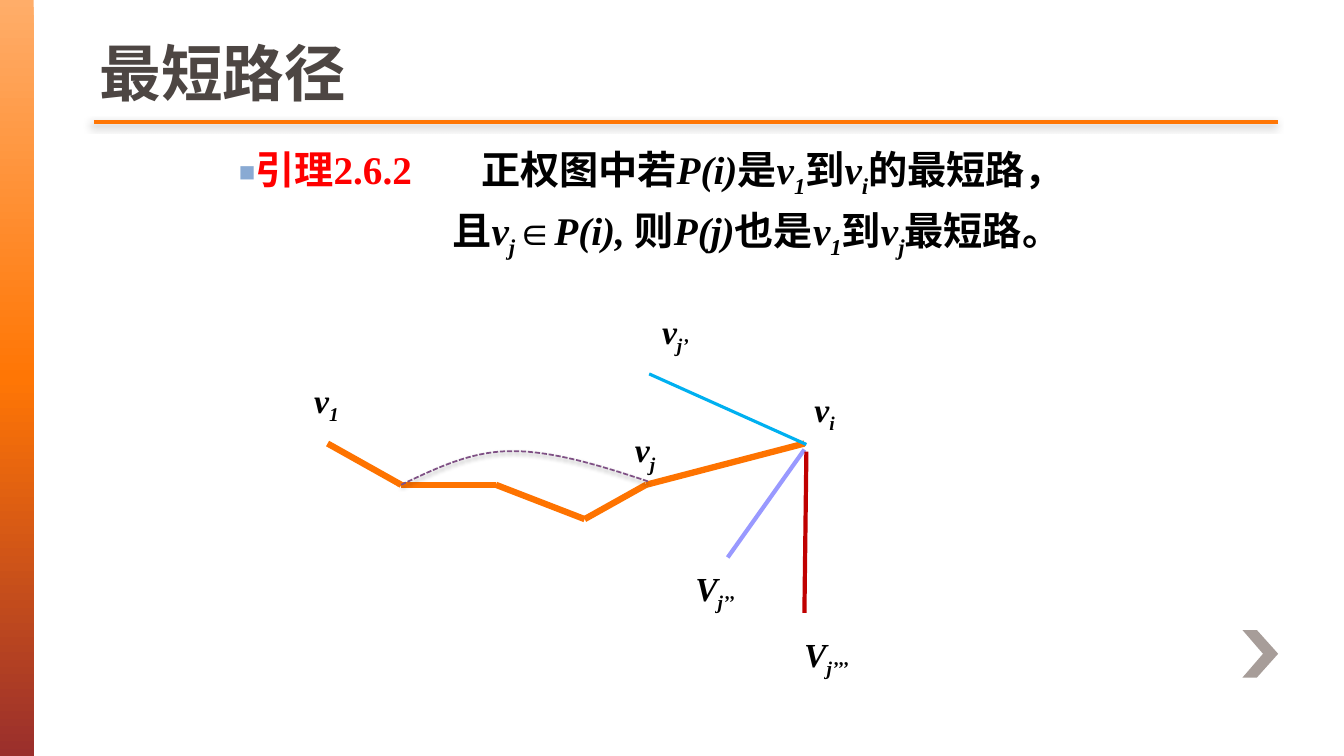
from copy import deepcopy
from itertools import pairwise

from lxml.etree import SubElement
from pptx import Presentation
from pptx.dml.color import RGBColor
from pptx.enum.dml import MSO_LINE
from pptx.enum.shapes import MSO_CONNECTOR, MSO_SHAPE
from pptx.enum.text import MSO_ANCHOR, MSO_AUTO_SIZE, PP_ALIGN
from pptx.oxml.ns import qn
from pptx.util import Pt

COLORS = {
    "text": "000000", "title": "4D4643", "title_edge": "675D59",
    "lemma": "FF0000", "bullet": "89AAD3", "rule": "FF7605",
    "path": "FE7300", "detour": "7F5185", "chevron": "A79D99",
    "blue": "00B0F0", "violet": "9999FF", "red": "C00000",
    "band_top": "FFAD69", "band_end": "9A2F2C",
}
SERIF, SANS = "Times New Roman", "Arial"


def rgb(name):
    return RGBColor.from_string(COLORS[name])


def sub(parent, tag, **attrs):
    return SubElement(parent, qn(tag), {k: str(v) for k, v in attrs.items()})


class Deck:
    def __init__(self, prs):
        self.slide = prs.slides.add_slide(prs.slide_layouts[1])
        self.shapes = self.slide.shapes

    def effects(self, sp, shadow=None):
        """Set an outer shadow (alpha, blur, distance, angle) or none."""
        lst = sub(sp._element.spPr, "a:effectLst")
        if shadow:
            alpha, blur, dist, angle = shadow
            outer = sub(lst, "a:outerShdw", blurRad=Pt(blur), dist=Pt(dist),
                        dir=angle * 60000, algn="ctr", rotWithShape=0)
            sub(sub(outer, "a:srgbClr", val="000000"), "a:alpha", val=alpha * 1000)

    def line(self, start, end, color, width, kind=MSO_CONNECTOR.STRAIGHT, shadow=None):
        sp = self.shapes.add_connector(kind, *map(Pt, start + end))
        sp.line.color.rgb = rgb(color)
        sp.line.width = Pt(width)
        self.effects(sp, shadow)

    def outline(self, points, close):
        fb = self.shapes.build_freeform(*map(Pt, points[0]))
        fb.add_line_segments([tuple(map(Pt, pt)) for pt in points[1:]], close=close)
        return fb.convert_to_shape()

    def polygon(self, points, color):
        sp = self.outline(points, True)
        sp.shadow.inherit = False
        sp.fill.solid()
        sp.fill.fore_color.rgb = rgb(color)
        sp.line.fill.background()

    def curve(self, points, color, width, shadow):
        sp = self.outline(points, False)
        path = sp._element.find(".//" + qn("a:path"))
        steps = path.findall(qn("a:lnTo"))
        # Every three points make one Bezier segment
        for i in range(0, len(steps), 3):
            bezier = sub(path, "a:cubicBezTo")
            for step in steps[i:i + 3]:
                bezier.append(step[0])
                path.remove(step)
        sp.fill.background()
        sp.line.color.rgb = rgb(color)
        sp.line.width = Pt(width)
        sp.line.dash_style = MSO_LINE.SQUARE_DOT
        self.effects(sp, shadow)

    def band(self, width, height, stops):
        sp = self.shapes.add_shape(MSO_SHAPE.RECTANGLE, 0, 0, Pt(width), Pt(height))
        sp.shadow.inherit = False
        sp.line.fill.background()
        sp.fill.gradient()
        sp.fill.gradient_angle = 270
        first = sp._element.spPr.find(".//" + qn("a:gs"))
        first.addnext(deepcopy(first))
        for stop, (position, color) in zip(sp.fill.gradient_stops, stops):
            stop.position = position
            stop.color.rgb = rgb(color)

    def run(self, p, text, size, style="", color="text", font=SERIF):
        """Style letters: i for italic, s for subscript."""
        r = p.add_run()
        r.text = text
        f = r.font
        f.name, f.size, f.bold, f.italic = font, Pt(size), True, "i" in style
        f.color.rgb = rgb(color)
        if "s" in style:
            r._r.get_or_add_rPr().set("baseline", "-25000")
        return r

    def place(self, sp, left, top, width, height):
        sp.left, sp.top, sp.width, sp.height = map(Pt, (left, top, width, height))

    def title(self, text, box):
        sp = self.shapes.title
        self.place(sp, *box)
        tf = sp.text_frame
        tf.vertical_anchor = MSO_ANCHOR.BOTTOM
        p = tf.paragraphs[0]
        p.alignment = PP_ALIGN.LEFT
        r = self.run(p, text, 44, color="title", font=SANS)
        ln = sub(r._r.rPr, "a:ln", w=Pt(1))
        sub(sub(ln, "a:solidFill"), "a:srgbClr", val=COLORS["title_edge"])
        r._r.rPr.insert(0, ln)

    def body(self, box, lines):
        sp = self.slide.placeholders[1]
        self.place(sp, *box)
        tf = sp.text_frame
        tf.auto_size = MSO_AUTO_SIZE.NONE
        for i, (indent, tab, runs) in enumerate(lines):
            p = tf.add_paragraph() if i else tf.paragraphs[0]
            p.space_before = Pt(5.6 if i else 0)
            pPr = p._p.get_or_add_pPr()
            pPr.set("marL", str(Pt(indent)))
            pPr.set("indent", "0")
            if tab:
                sub(sub(pPr, "a:buClr"), "a:srgbClr", val=COLORS["bullet"])
                sub(pPr, "a:buSzPct", val=70000)
                sub(pPr, "a:buChar", char="■")
                sub(sub(pPr, "a:tabLst"), "a:tab", pos=Pt(tab), algn="l")
            else:
                sub(pPr, "a:buNone")
            for text, *look in runs:
                self.run(p, text, 28, *look)

    def label(self, left, top, width, letter, index):
        sp = self.shapes.add_textbox(*map(Pt, (left, top, width, 36)))
        tf = sp.text_frame
        tf.word_wrap = False
        p = tf.paragraphs[0]
        self.run(p, letter, 24, "i")
        self.run(p, index, 24, "is")


def main():
    prs = Presentation()
    prs.slide_width, prs.slide_height = Pt(960), Pt(540)
    deck = Deck(prs)

    # Side band, chevron and title rule
    deck.band(24, 540, [(0, "band_top"), (0.5, "rule"), (1, "band_end")])
    deck.polygon([(897.8, 450), (887.5, 450), (902.2, 467), (887.5, 484),
                  (897.8, 484), (913, 467)], "chevron")
    deck.line((67, 87), (913, 87), "rule", 2.5, shadow=(45, 5, 3, 135))

    # Title and lemma
    deck.title("最短路径", (64, 0, 846, 81.4))
    v1 = [("v", "i"), ("1", "is")]
    vi = [("v", "i"), ("i", "is")]
    vj = [("v", "i"), ("j", "is")]
    deck.body((163.4, 100, 694.8, 122.4), [
        (0, 173, [("引理2.6.2\t", "", "lemma"), ("正权图中若",), ("P(i)", "i"),
                  ("是",), *v1, ("到",), *vi, ("的最短路，",)]),
        (152.6, None, [("且",), *vj, ("∈",), ("P(i), ", "i"), ("则",), ("P(j)", "i"),
                       ("也是",), *v1, ("到",), *vj, ("最短路。",)]),
    ])

    # Shortest path from v1 to vi
    route = [(234, 316.8), (286.6, 346.3), (354.2, 346.3),
             (417.6, 370.8), (461.5, 346.3), (574.6, 316.8)]
    for start, end in pairwise(route):
        deck.line(start, end, "path", 4.5)

    # Detour from the second node to vj
    deck.line((286.6, 346.3), (283.7, 347), "path", 0.75, MSO_CONNECTOR.CURVE)
    deck.curve([(286.6, 346.3), (311, 334.8), (335.5, 322.6), (364.3, 322.3),
                (393.8, 321.8), (429.1, 332.6), (463.7, 344.2)],
               "detour", 1.25, (38, 3.1, 1.6, 90))

    # Other edges into vi
    deck.line((463.7, 267.1), (576, 317.5), "blue", 2.25)
    deck.line((519.8, 398.2), (574.6, 321.1), "violet", 3)
    deck.line((574.6, 437.8), (576, 322.6), "red", 3)

    # Node labels
    for label in [(217.4, 267.8, 33, "v", "1"), (574.6, 274.3, 29.5, "v", "i"),
                  (446.4, 303.1, 29.5, "v", "j"), (465.8, 218.2, 35.3, "v", "j’"),
                  (489.6, 401.8, 45.4, "V", "j’’"), (567.4, 449.3, 64.8, "V", "j’’’")]:
        deck.label(*label)

    prs.save("out.pptx")


if __name__ == "__main__":
    main()
